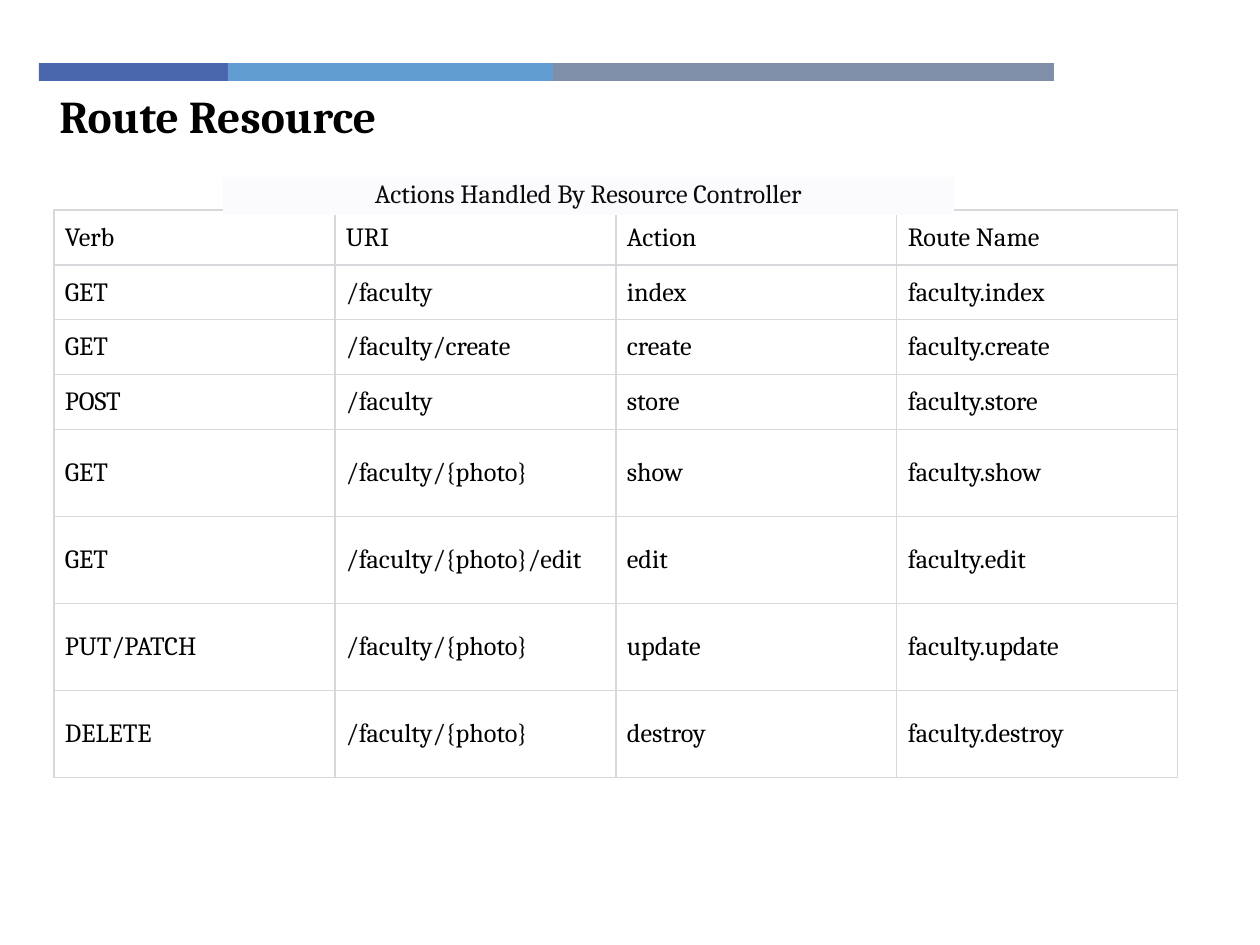
"""Build the Route Resource slide with its table of controller actions."""
from dataclasses import dataclass
from itertools import groupby

from lxml import etree
from pptx import Presentation
from pptx import util as u
from pptx.dml.color import RGBColor
from pptx.enum import shapes, text
from pptx.oxml import ns

SCALE = 914400 // 126
FONT = "Cambria"
BLACK = RGBColor(0, 0, 0)
INK = RGBColor(0x09, 0x09, 0x10)
PALE = RGBColor(0xFB, 0xFB, 0xFD)
RULE = RGBColor(0xD7, 0xD7, 0xDC)
NAVY = RGBColor(0x4A, 0x66, 0xAC)
SKY = RGBColor(0x62, 0x9D, 0xD1)
SLATE = RGBColor(0x7F, 0x8F, 0xA9)


@dataclass(frozen=True)
class Box:
    left: int
    top: int
    width: int
    height: int

    def emu(self) -> list[u.Emu]:
        return [px(n) for n in (self.left, self.top, self.width, self.height)]


@dataclass(frozen=True)
class Band:
    width: int
    color: RGBColor


@dataclass(frozen=True)
class Route:
    verb: str
    uri: str
    action: str
    height: int

    def cells(self) -> list[str]:
        return [self.verb, self.uri, self.action, f"faculty.{self.action}"]


BANDS = [Band(189, NAVY), Band(325, SKY), Band(501, SLATE)]
HEADS = ["Verb", "URI", "Action", "Route Name"]
LOW, HIGH = 55, 87
ROUTES = [
    Route("GET", "/faculty", "index", LOW),
    Route("GET", "/faculty/create", "create", LOW),
    Route("POST", "/faculty", "store", LOW),
    Route("GET", "/faculty/{photo}", "show", HIGH),
    Route("GET", "/faculty/{photo}/edit", "edit", HIGH),
    Route("PUT/PATCH", "/faculty/{photo}", "update", HIGH),
    Route("DELETE", "/faculty/{photo}", "destroy", HIGH),
]


def px(count: int) -> u.Emu:
    return u.Emu(count * SCALE)


def add_run(para, words: str, size: int, color: RGBColor, bold: bool = False) -> None:
    run = para.add_run()
    run.text = words
    run.font.name = FONT
    run.font.size = u.Pt(size)
    run.font.bold = bold
    run.font.color.rgb = color


def add_rect(slide, box: Box, color: RGBColor):
    rect = slide.shapes.add_shape(shapes.MSO_SHAPE.RECTANGLE, *box.emu())
    rect.shadow.inherit = False
    rect.fill.solid()
    rect.fill.fore_color.rgb = color
    rect.line.fill.background()
    return rect


def add_bands(slide) -> None:
    left = 39
    for band in BANDS:
        add_rect(slide, Box(left, 63, band.width, 18), band.color)
        left += band.width


def add_title(slide) -> None:
    frame = slide.shapes.add_textbox(*Box(47, 82, 446, 68).emu()).text_frame
    frame.word_wrap = True
    add_run(frame.paragraphs[0], "Route Resource", 26, BLACK, True)


def style_cell(cell) -> None:
    cell.vertical_anchor = text.MSO_ANCHOR.MIDDLE
    cell.margin_left = cell.margin_right = px(11)
    cell.margin_top = cell.margin_bottom = px(11)
    props = cell._tc.get_or_add_tcPr()
    for side in ("lnL", "lnR", "lnT", "lnB"):
        line = etree.SubElement(props, ns.qn(f"a:{side}"), w=str(u.Pt(0.75)))
        fill = etree.SubElement(line, ns.qn("a:solidFill"))
        etree.SubElement(fill, ns.qn("a:srgbClr"), val=str(RULE))
    cell.fill.background()


def fill_cell(cell, words: str, is_uri: bool) -> None:
    style_cell(cell)
    para = cell.text_frame.paragraphs[0]
    if not is_uri:
        add_run(para, words, 15, BLACK)
        return
    for is_word, chars in groupby(words, str.isalpha):
        add_run(para, "".join(chars), 15, BLACK if is_word else INK)


def add_routes(slide) -> None:
    rows = [HEADS] + [route.cells() for route in ROUTES]
    sizes = [LOW] + [route.height for route in ROUTES]
    box = Box(54, 210, 1124, sum(sizes))
    table = slide.shapes.add_table(len(rows), len(HEADS), *box.emu()).table
    table.first_row = table.horz_banding = False
    for col in table.columns:
        col.width = px(box.width // len(HEADS))
    for r, (row, size) in enumerate(zip(rows, sizes)):
        table.rows[r].height = px(size)
        for c, words in enumerate(row):
            fill_cell(table.cell(r, c), words, r > 0 and c == 1)


def add_caption(slide) -> None:
    frame = add_rect(slide, Box(223, 177, 731, 38), PALE).text_frame
    frame.word_wrap = True
    frame.vertical_anchor = text.MSO_ANCHOR.MIDDLE
    frame.margin_top = 0
    para = frame.paragraphs[0]
    para.alignment = text.PP_ALIGN.CENTER
    add_run(para, "Actions Handled By Resource Controller", 15, INK)


def main() -> None:
    deck = Presentation()
    deck.slide_width, deck.slide_height = px(1260), px(945)
    slide = deck.slides.add_slide(deck.slide_layouts[6])
    add_bands(slide)
    add_title(slide)
    add_routes(slide)
    add_caption(slide)
    deck.save("out.pptx")


main()
